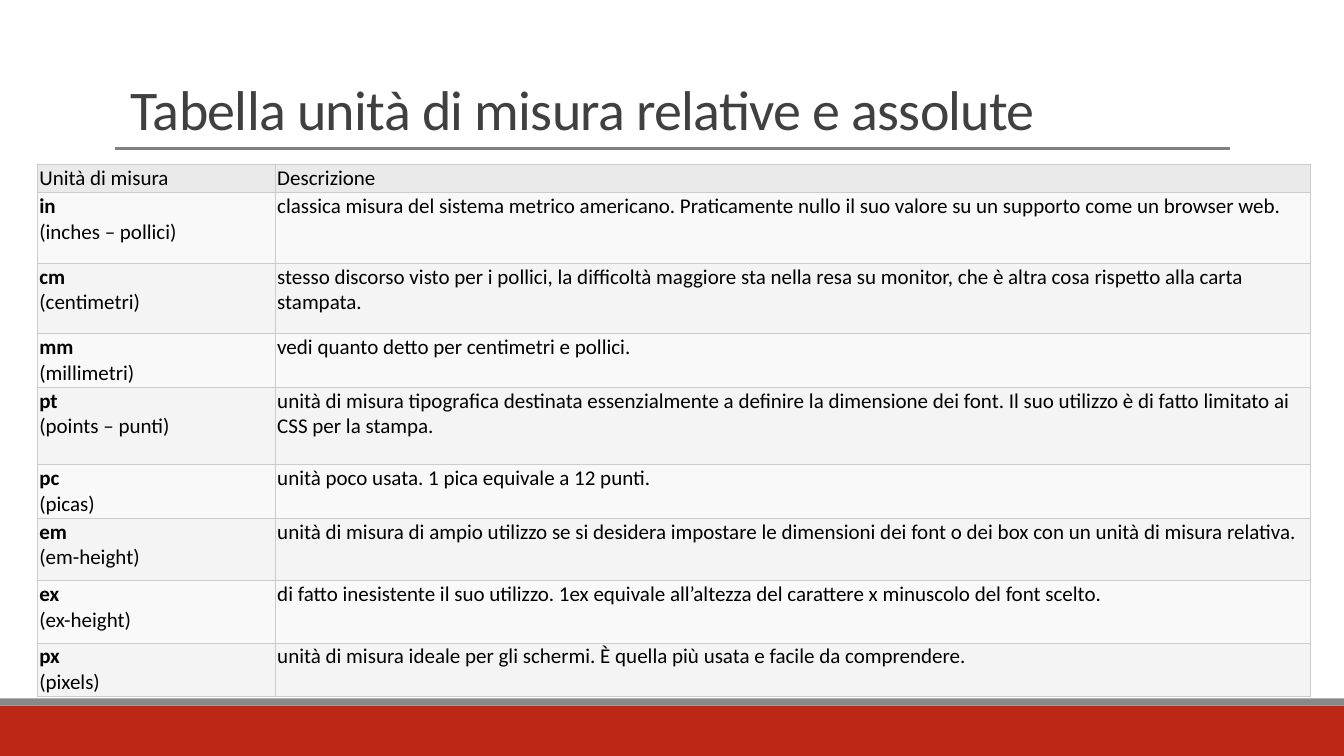
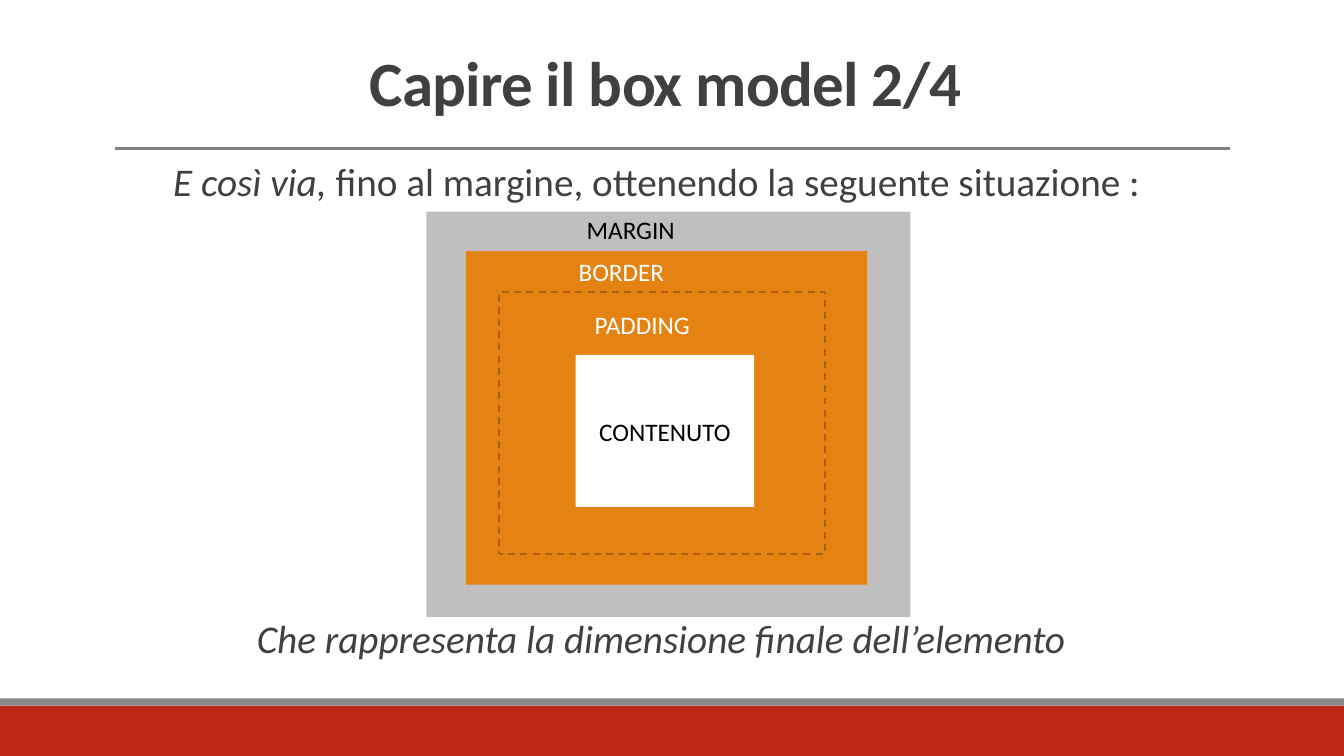
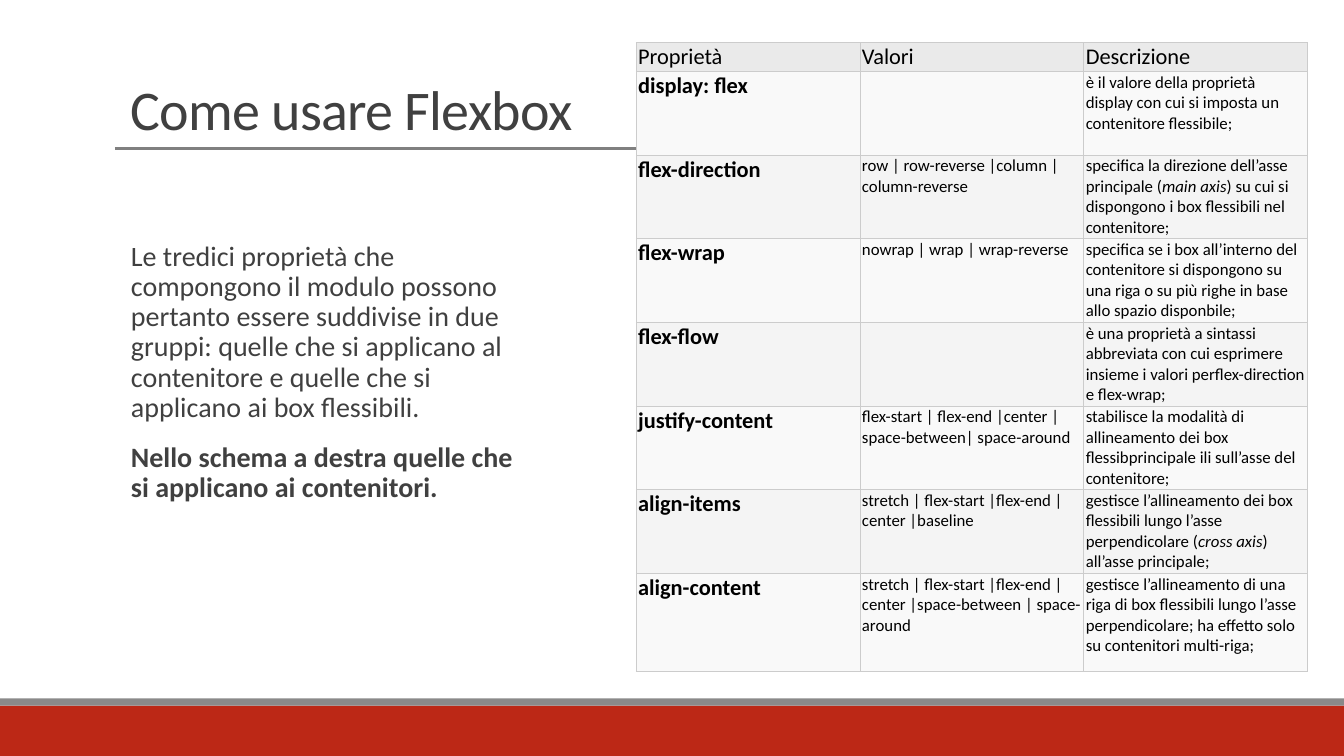
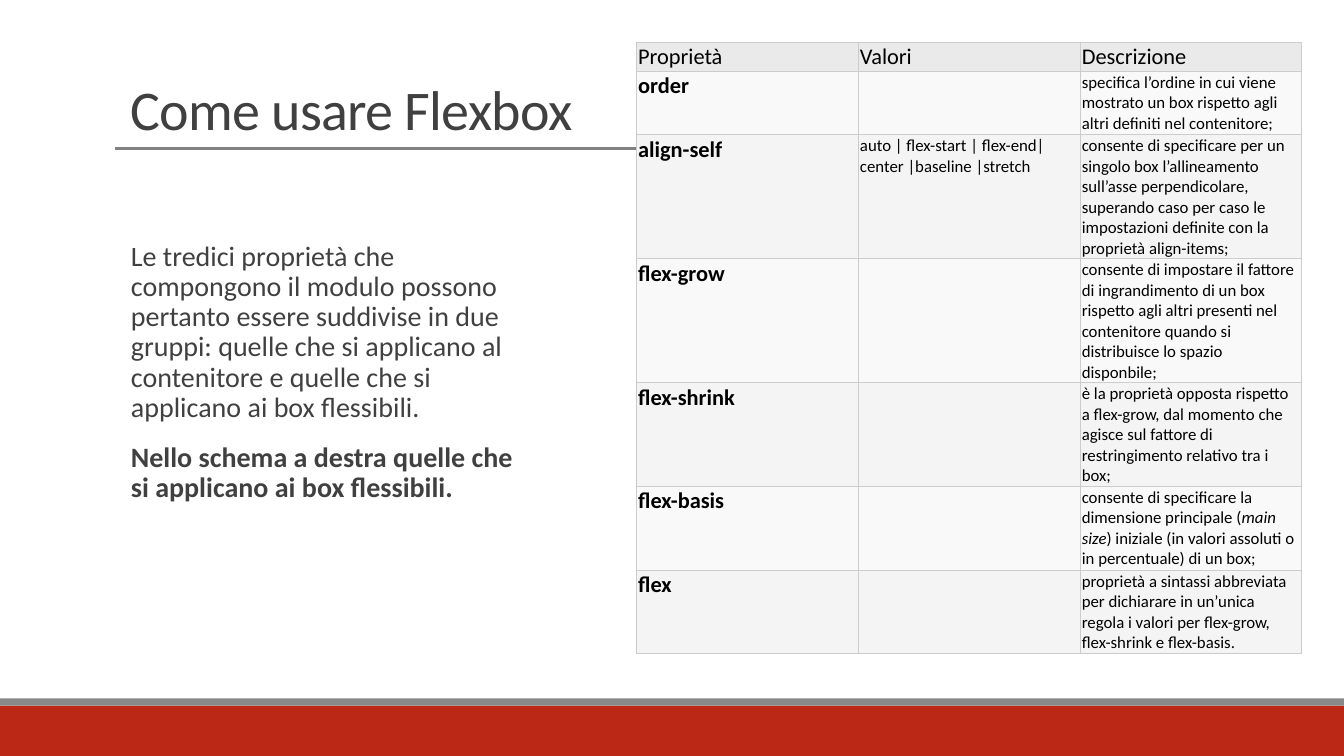
"""Build four slides on CSS units, the box model and Flexbox."""
import pptx
import pptx.dml.color
import pptx.enum.dml
import pptx.enum.shapes
import pptx.enum.text
import pptx.oxml
import pptx.oxml.ns
import pptx.util
from lxml import etree

FONT = "Calibri"
BLACK, WHITE, DARK = "000000", "FFFFFF", "404040"
RED, GREY, RULE = "BC2816", "8A8989", "808080"
ORANGE, BROWN, SILVER = "E48312", "A9610D", "BFBFBF"
HEADER, BANDS, GRID = "EAEAEA", ("F9F9F9", "F4F4F4"), "CCCCCC"
WIDTH, HEIGHT = 13.33, 7.5

LEFT = pptx.enum.text.PP_ALIGN.LEFT
CENTER = pptx.enum.text.PP_ALIGN.CENTER
TOP = pptx.enum.text.MSO_ANCHOR.TOP
MIDDLE = pptx.enum.text.MSO_ANCHOR.MIDDLE
BOTTOM = pptx.enum.text.MSO_ANCHOR.BOTTOM

UNITS_HEADER = ("Unità di misura", "Descrizione")
UNITS = [
    ("in", "(inches – pollici)", 0.7,
     "classica misura del sistema metrico americano. Praticamente nullo il suo valore su un supporto "
     "come un browser web."),
    ("cm", "(centimetri)", 0.7,
     "stesso discorso visto per i pollici, la difficoltà maggiore sta nella resa su monitor, che è "
     "altra cosa rispetto alla carta stampata."),
    ("mm", "(millimetri)", 0.53, "vedi quanto detto per centimetri e pollici."),
    ("pt", "(points – punti)", 0.77,
     "unità di misura tipografica destinata essenzialmente a definire la dimensione dei font. Il suo "
     "utilizzo è di fatto limitato ai CSS per la stampa."),
    ("pc", "(picas)", 0.53, "unità poco usata. 1 pica equivale a 12 punti."),
    ("em", "(em-height)", 0.62,
     "unità di misura di ampio utilizzo se si desidera impostare le dimensioni dei font o dei box con "
     "un unità di misura relativa."),
    ("ex", "(ex-height)", 0.62,
     "di fatto inesistente il suo utilizzo. 1ex equivale all’altezza del carattere x minuscolo del "
     "font scelto."),
    ("px", "(pixels)", 0.53,
     "unità di misura ideale per gli schermi. È quella più usata e facile da comprendere."),
]

BOX_CAPTIONS = [
    (1.6, [("E così via, ", "i"), ("fino al margine, ottenendo la seguente situazione : ", "")]),
    (6.14, [("Che rappresenta la dimensione finale dell’elemento", "i")]),
]
BOX_LAYERS = [
    ((4.23, 2.1, 4.8, 4.02), SILVER, None),
    ((4.62, 2.49, 3.98, 3.31), ORANGE, None),
    ((4.95, 2.9, 3.23, 2.6), ORANGE, BROWN),
]
CONTENT_AREA = (5.71, 3.52, 1.77, 1.51)
BOX_LABELS = [
    ("MARGIN", (5.72, 2.08, 1.89, 0.4), BLACK),
    ("BORDER", (5.64, 2.49, 2.05, 0.4), WHITE),
    ("PADDING", (5.8, 3.02, 1.5, 0.4), WHITE),
]

FLEX_TITLE = "Come usare Flexbox"
FLEX_INTRO = (
    "Le tredici proprietà che compongono il modulo possono pertanto essere suddivise in due gruppi: "
    "quelle che si applicano al contenitore e quelle che si applicano ai box flessibili."
)
FLEX_HEADER = ("Proprietà", "Valori", "Descrizione")
FLEX_SLIDES = [
    ("Nello schema a destra quelle che si applicano ai contenitori.", 2.22, [
        ("display: flex", "", 0.83,
         "è il valore della proprietà display con cui si imposta un contenitore flessibile;"),
        ("flex-direction", "row | row-reverse |column | column-reverse", 0.83,
         [("specifica la direzione dell’asse principale (", ""), ("main axis", "i"),
          (") su cui si dispongono i box flessibili nel contenitore;", "")]),
        ("flex-wrap", "nowrap | wrap | wrap-reverse", 0.83,
         "specifica se i box all’interno del contenitore si dispongono su una riga o su più righe in "
         "base allo spazio disponbile;"),
        ("flex-flow", "", 0.83,
         "è una proprietà a sintassi abbreviata con cui esprimere insieme i valori "
         "perflex-direction e flex-wrap;"),
        ("justify-content", "flex-start | flex-end |center | space-between| space-around", 0.83,
         "stabilisce la modalità di allineamento dei box flessibprincipale ili sull’asse del "
         "contenitore;"),
        ("align-items", "stretch | flex-start |flex-end | center |baseline", 0.83,
         [("gestisce l’allineamento dei box flessibili lungo l’asse perpendicolare (", ""),
          ("cross axis", "i"), (") all’asse principale;", "")]),
        ("align-content",
         "stretch | flex-start |flex-end | center |space-between | space-around", 0.97,
         "gestisce l’allineamento di una riga di box flessibili lungo l’asse perpendicolare; ha "
         "effetto solo su contenitori multi-riga;"),
    ]),
    ("Nello schema a destra quelle che si applicano ai box flessibili.", 2.2, [
        ("order", "", 0.63,
         "specifica l’ordine in cui viene mostrato un box rispetto agli altri definiti nel "
         "contenitore;"),
        ("align-self", "auto | flex-start | flex-end| center |baseline |stretch", 1.23,
         "consente di specificare per un singolo box l’allineamento sull’asse perpendicolare, "
         "superando caso per caso le impostazioni definite con la proprietà align-items;"),
        ("flex-grow", "", 1.23,
         "consente di impostare il fattore di ingrandimento di un box rispetto agli altri presenti "
         "nel contenitore quando si distribuisce lo spazio disponbile;"),
        ("flex-shrink", "", 1.03,
         "è la proprietà opposta rispetto a flex-grow, dal momento che agisce sul fattore di "
         "restringimento relativo tra i box;"),
        ("flex-basis", "", 0.83,
         [("consente di specificare la dimensione principale (", ""), ("main size", "i"),
          (") iniziale (in valori assoluti o in percentuale) di un box;", "")]),
        ("flex", "", 0.83,
         "proprietà a sintassi abbreviata per dichiarare in un’unica regola i valori "
         "per flex-grow, flex-shrink e flex-basis."),
    ]),
]


def rgb(code):
    """Turn a hex string into a colour."""
    return pptx.dml.color.RGBColor.from_string(code)


def inches(*lengths):
    """Turn numbers into lengths in inches."""
    return [pptx.util.Inches(length) for length in lengths]


def write(paragraph, content, size, color, align=LEFT, line=None, tracking=None):
    """Fill a paragraph with a string or with (text, style) pieces."""
    pieces = [(content, "")] if isinstance(content, str) else content
    paragraph.alignment = align
    if line:
        paragraph.line_spacing = line
    for text, style in pieces:
        if text == "\n":
            paragraph.add_line_break()
            continue
        run = paragraph.add_run()
        run.text = text
        run.font.name = FONT
        run.font.size = pptx.util.Pt(size)
        run.font.bold = "b" in style
        run.font.italic = "i" in style
        run.font.color.rgb = rgb(color)
        if tracking:
            run.font._element.set("spc", str(tracking))


def add_text(slide, area, contents, size, color, anchor=TOP, side=0.1, gap=0, **look):
    """Add a text box with one paragraph per content."""
    frame = slide.shapes.add_textbox(*inches(*area)).text_frame
    frame.word_wrap = True
    frame.vertical_anchor = anchor
    frame.margin_left, frame.margin_right = inches(side, 0 if gap else side)
    for index, content in enumerate(contents):
        paragraph = frame.add_paragraph() if index else frame.paragraphs[0]
        if index:
            paragraph.space_before = pptx.util.Pt(gap)
        write(paragraph, content, size, color, **look)


def add_box(slide, area, fill, outline=None):
    """Add a flat rectangle, with a dashed outline if one is given."""
    box = slide.shapes.add_shape(pptx.enum.shapes.MSO_SHAPE.RECTANGLE, *inches(*area))
    box.shadow.inherit = False
    box.fill.solid()
    box.fill.fore_color.rgb = rgb(fill)
    if outline:
        box.line.color.rgb = rgb(outline)
        box.line.width = pptx.util.Pt(1.25)
        box.line.dash_style = pptx.enum.dml.MSO_LINE.DASH
    else:
        box.line.fill.background()
    return box


def add_page(deck, title, area=(1.2, 0.75, 11, 0.71), size=40, align=LEFT):
    """Add a slide with the bands, the rule and a title."""
    slide = deck.slides.add_slide(deck.slide_layouts[6])
    add_box(slide, (0, 7, WIDTH, 0.5), RED)
    add_box(slide, (0, 6.93, WIDTH, 0.07), GREY)
    rule = slide.shapes.add_connector(
        pptx.enum.shapes.MSO_CONNECTOR.STRAIGHT, *inches(1.14, 1.47, 12.2, 1.47))
    rule.line.color.rgb = rgb(RULE)
    rule.line.width = 0
    etree.SubElement(rule._element.spPr, pptx.oxml.ns.qn("a:effectLst"))
    add_text(slide, area, [title], size, DARK, BOTTOM, align=align, line=0.85, tracking=-50)
    return slide


def add_borders(cell):
    """Draw a thin line on each side of a cell."""
    for side in ("lnL", "lnR", "lnT", "lnB"):
        cell._tc.get_or_add_tcPr().append(pptx.oxml.parse_xml(
            f'<a:{side} {pptx.oxml.ns.nsdecls("a")} w="6350"><a:solidFill>'
            f'<a:srgbClr val="{GRID}"/></a:solidFill></a:{side}>'))


def add_grid(slide, left, top, widths, heights, rows, head_size, body_sizes):
    """Add a banded table whose first row is the header."""
    table = slide.shapes.add_table(
        len(rows), len(widths), *inches(left, top, sum(widths), sum(heights))).table
    table.first_row = table.horz_banding = False
    for column, width in zip(table.columns, widths):
        column.width = pptx.util.Inches(width)
    for number, (row, height, contents) in enumerate(zip(table.rows, heights, rows)):
        row.height = pptx.util.Inches(height)
        for cell, content, body_size in zip(row.cells, contents, body_sizes):
            cell.margin_left, cell.margin_right = inches(0.02, 0.02)
            cell.margin_top, cell.margin_bottom = inches(0.01, 0.01)
            cell.vertical_anchor = TOP if number else MIDDLE
            add_borders(cell)
            cell.fill.solid()
            cell.fill.fore_color.rgb = rgb(BANDS[(number - 1) % 2] if number else HEADER)
            if content:
                write(cell.text_frame.paragraphs[0], content,
                      body_size if number else head_size, BLACK)


def units_slide(deck):
    """Add the table of units."""
    slide = add_page(deck, [("Tabella unità di misura relative e assolute", "")])
    rows = [UNITS_HEADER] + [
        ([(unit, "b"), ("\n", ""), (name, "")], about) for unit, name, _, about in UNITS]
    heights = [0.28] + [height for _, _, height, _ in UNITS]
    add_grid(slide, 0.37, 1.63, (2.36, 10.27), heights, rows, 15, (15, 15))


def box_model_slide(deck):
    """Add the nested boxes of the box model."""
    slide = add_page(deck, [("Capire il box model 2/4", "b")], (2.1, 0.29, 9, 0.94), 45, CENTER)
    for top, caption in BOX_CAPTIONS:
        add_text(slide, (1.09, top, 10.93, 0.5), [caption], 28, DARK,
                 side=0, align=CENTER, line=0.8)
    for area, fill, outline in BOX_LAYERS:
        add_box(slide, area, fill, outline)
    frame = add_box(slide, CONTENT_AREA, WHITE).text_frame
    frame.vertical_anchor = MIDDLE
    write(frame.paragraphs[0], "CONTENUTO", 18, BLACK, CENTER)
    for label, area, color in BOX_LABELS:
        add_text(slide, area, [label], 18, color)


def flex_slide(deck, scope, column, properties):
    """Add a Flexbox slide with its table of properties."""
    slide = add_page(deck, FLEX_TITLE)
    add_text(slide, (1.2, 2.35, 4.12, 3.28), [FLEX_INTRO, [(scope, "b")]], 20, DARK,
             gap=14, line=0.9)
    rows = [FLEX_HEADER] + [
        ([(name, "b")], values, about) for name, values, _, about in properties]
    heights = [0.28] + [height for _, _, height, _ in properties]
    add_grid(slide, 6.31, 0.42, [column] * 3, heights, rows, 16, (16, 12, 12))


def main():
    """Build and save the deck."""
    deck = pptx.Presentation()
    deck.slide_width, deck.slide_height = inches(WIDTH, HEIGHT)
    units_slide(deck)
    box_model_slide(deck)
    for scope, column, properties in FLEX_SLIDES:
        flex_slide(deck, scope, column, properties)
    deck.save("out.pptx")


if __name__ == "__main__":
    main()
